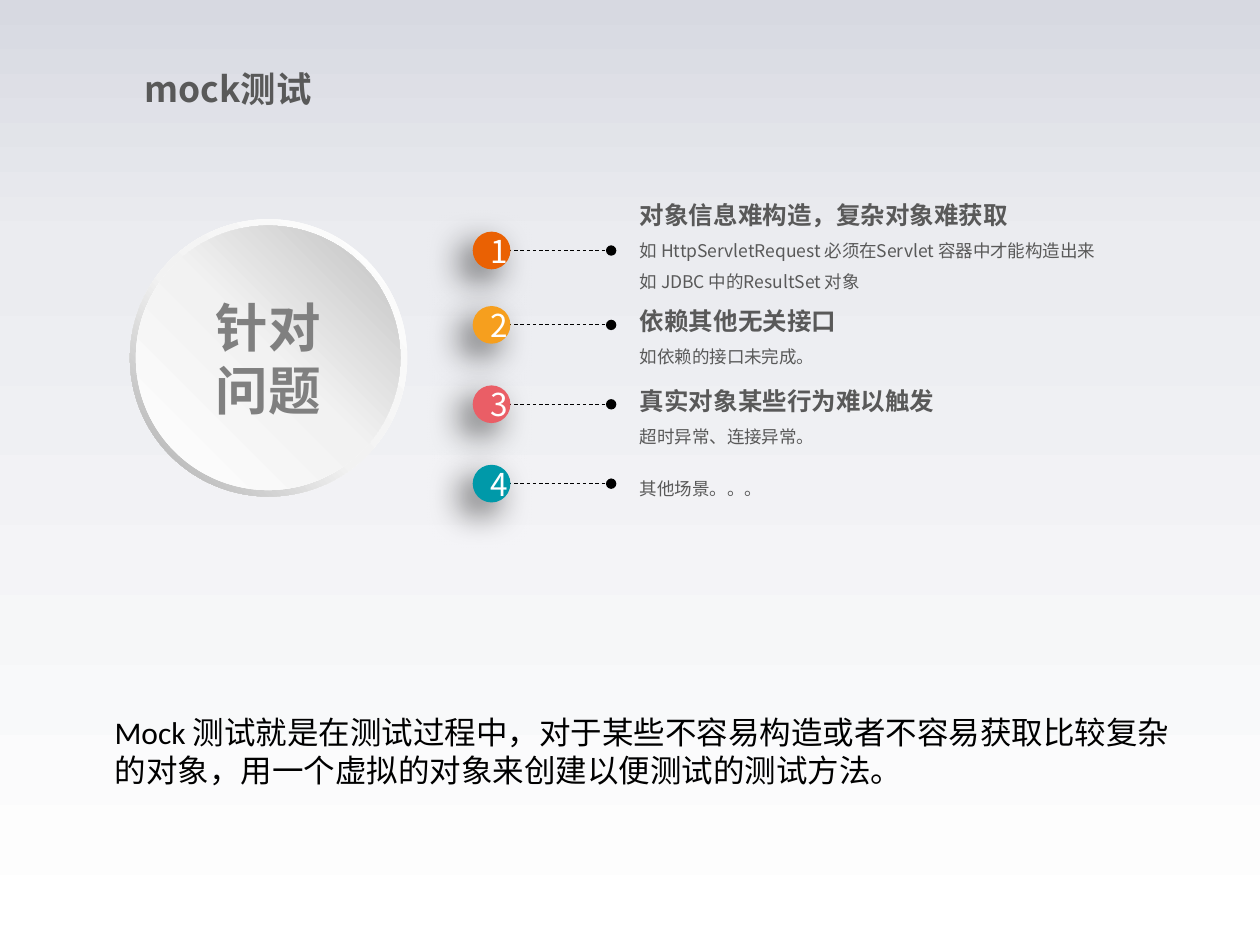
from lxml.etree import SubElement
from pptx import Presentation
from pptx.dml.color import RGBColor
from pptx.enum.dml import MSO_LINE
from pptx.enum.shapes import MSO_CONNECTOR, MSO_SHAPE
from pptx.enum.text import MSO_ANCHOR, PP_ALIGN
from pptx.oxml.ns import qn
from pptx.util import Cm, Pt

FONT = "Noto Sans CJK SC"
GREY = "595959"
ITEMS = [
    ("EA6103", 5.05, 3.73, 9.75, 2.11,
     ["对象信息难构造，复杂对象难获取",
      "如 HttpServletRequest 必须在Servlet 容器中才能构造出来",
      "如 JDBC 中的ResultSet 对象"]),
    ("F69F1E", 6.55, 5.87, 8.66, 2.11, ["依赖其他无关接口", "如依赖的接口未完成。"]),
    ("EA5E66", 8.15, 7.49, 9.6, 1.47, ["真实对象某些行为难以触发", "超时异常、连接异常。"]),
    ("0099A9", 9.75, 9.42, 9.6, 0.56, ["其他场景。。。"]),
]


def rgb(color):
    """Turn a hex string into a colour."""
    return RGBColor.from_string(color)


def add_element(parent, tag, **attributes):
    """Append a DrawingML element with the given attributes."""
    return SubElement(parent, qn(tag), {key: str(value) for key, value in attributes.items()})


def set_gradient(fill, stops, angle):
    """Fill with a linear gradient of (percent, colour) stops, angle clockwise."""
    fill.gradient()
    fill.gradient_angle = (360 - angle) % 360
    stop_list = fill.gradient_stops[0]._gs.getparent()
    stop_list.clear()
    for percent, color in stops:
        stop = add_element(stop_list, "a:gs", pos=percent * 1000)
        add_element(stop, "a:srgbClr", val=color)


def format_paragraph(paragraph, size, color, bold=False, font=FONT, align=PP_ALIGN.LEFT):
    """Align a paragraph and format its runs."""
    paragraph.alignment = align
    for run in paragraph.runs:
        run.font.name = font
        run.font.size = Pt(size)
        run.font.bold = bold
        run.font.color.rgb = rgb(color)
        add_element(run.font._element, "a:ea", typeface=font)


def set_margins(text_frame, left=0, top=0):
    """Wrap the text and set equal opposite margins."""
    text_frame.word_wrap = True
    text_frame.margin_left = text_frame.margin_right = Cm(left)
    text_frame.margin_top = text_frame.margin_bottom = Cm(top)


def add_round(slide, kind, left, top, size):
    """Add a round shape without outline or shadow."""
    shape = slide.shapes.add_shape(kind, Cm(left), Cm(top), Cm(size), Cm(size))
    shape.shadow.inherit = False
    shape.line.fill.background()
    return shape


def add_title(slide, text):
    """Place and format the title."""
    title = slide.shapes.title
    title.left, title.top, title.width, title.height = Cm(2.74), Cm(1.35), Cm(5.59), Cm(0.86)
    text_frame = title.text_frame
    text_frame.text = text
    set_margins(text_frame)
    text_frame.margin_left = Cm(0.18)
    text_frame.vertical_anchor = MSO_ANCHOR.TOP
    format_paragraph(text_frame.paragraphs[0], 20.2, GREY, True)


def add_topic(slide, text):
    """Add the large ringed circle with its label."""
    ring = add_round(slide, MSO_SHAPE.DONUT, 2.62, 4.42, 5.59)
    ring.adjustments[0] = 0.05
    set_gradient(ring.fill, [(0, "FFFFFF"), (55, "F2F2F2"), (100, "A6A6A6")], 135)
    disc = add_round(slide, MSO_SHAPE.OVAL, 2.74, 4.55, 5.33)
    set_gradient(disc.fill, [(0, "FFFFFF"), (51, "F2F2F2"), (100, "BFBFBF")], 315)
    disc.text_frame.text = text
    for paragraph in disc.text_frame.paragraphs:
        format_paragraph(paragraph, 30, "808080", True, align=PP_ALIGN.CENTER)


def add_leader(slide, middle):
    """Add a dashed line that ends in a dot."""
    line = slide.shapes.add_connector(
        MSO_CONNECTOR.STRAIGHT, Cm(10.11), Cm(middle), Cm(12.32), Cm(middle))
    line.line.color.rgb = rgb("000000")
    line.line.width = Pt(0.5)
    line.line.dash_style = MSO_LINE.DASH
    add_element(line.line._get_or_add_ln(), "a:tailEnd", type="oval")
    add_element(line._element.spPr, "a:effectLst")


def add_number(slide, number, middle, color):
    """Add a numbered dot with a soft shadow."""
    dot = add_round(slide, MSO_SHAPE.OVAL, 9.53, middle - 0.38, 0.76)
    dot.fill.solid()
    dot.fill.fore_color.rgb = rgb(color)
    effects = dot._element.spPr.find(qn("a:effectLst"))
    shadow = add_element(effects, "a:outerShdw", blurRad=Pt(20), dist=Pt(10),
                         dir=135 * 60000, algn="tr", rotWithShape=0)
    black = add_element(shadow, "a:srgbClr", val="000000")
    add_element(black, "a:alpha", val=60000)
    dot.text_frame.text = str(number)
    set_margins(dot.text_frame, 0.25, 0.13)
    format_paragraph(dot.text_frame.paragraphs[0], 18, "FFFFFF", align=PP_ALIGN.CENTER)


def add_details(slide, top, width, height, lines):
    """Add an item's text, with a bold heading when it has several lines."""
    box = slide.shapes.add_textbox(Cm(12.9), Cm(top), Cm(width), Cm(height))
    set_margins(box.text_frame)
    box.text_frame.text = "\n".join(lines)
    for index, paragraph in enumerate(box.text_frame.paragraphs):
        heading = index == 0 and len(lines) > 1
        paragraph.line_spacing = 1.5
        format_paragraph(paragraph, 14 if heading else 10, GREY, heading, align=PP_ALIGN.JUSTIFY)


def add_summary(slide, text):
    """Add the definition below the items."""
    box = slide.shapes.add_textbox(Cm(2.06), Cm(14.25), Cm(21.77), Cm(1.8))
    box.text_frame.word_wrap = True
    box.text_frame.text = text
    format_paragraph(box.text_frame.paragraphs[0], 18, "000000", font="Calibri")


def main():
    """Build the slide and save it."""
    presentation = Presentation()
    presentation.slide_width, presentation.slide_height = Cm(25.4), Cm(19.05)
    slide = presentation.slides.add_slide(presentation.slide_layouts[5])
    set_gradient(slide.background.fill, [(0, "D7D9E1"), (26, "EBECF0"), (100, "FFFFFF")], 90)
    add_title(slide, "mock测试")
    add_topic(slide, "针对\n问题")
    for number, (color, middle, top, width, height, lines) in enumerate(ITEMS, 1):
        add_leader(slide, middle)
        add_number(slide, number, middle, color)
        add_details(slide, top, width, height, lines)
    add_summary(slide, "Mock 测试就是在测试过程中，对于某些不容易构造或者不容易获取比较复杂的对象，"
                       "用一个虚拟的对象来创建以便测试的测试方法。")
    presentation.save("out.pptx")


if __name__ == "__main__":
    main()
